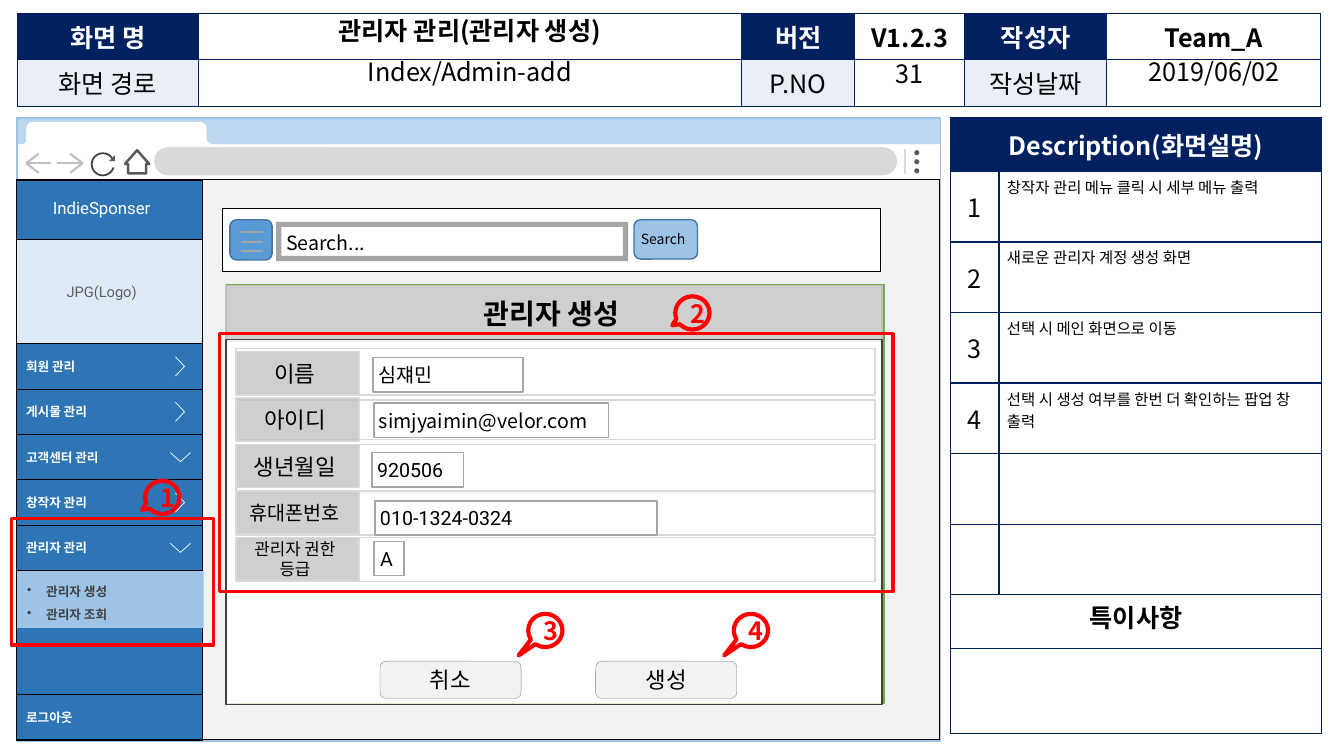
"""Build the admin creation screen plan on a grid of tenth-inch columns and rows."""
import dataclasses
import typing

import lxml.etree
import pptx
import pptx.dml.color
import pptx.enum.shapes
import pptx.enum.text
import pptx.oxml.ns
import pptx.util

UNIT = pptx.util.Inches(0.1)
KIND = pptx.enum.shapes.MSO_SHAPE
ALIGN = pptx.enum.text.PP_ALIGN
ANCHOR = pptx.enum.text.MSO_ANCHOR
NOTO, ROBOTO = "Noto Sans CJK KR", "Roboto"
HUES = {
    "white": "FFFFFF", "black": "000000", "navy": "002060", "ice": "EAEFF7", "pale": "F2F2F2",
    "mist": "D9D9D9", "ash": "BFBFBF", "mid": "A6A6A6", "steel": "A5A5A5", "gray": "808080",
    "slate": "595959", "dark": "404040", "logo": "5F5F5F", "sky": "BDD7EE", "light": "9DC3E6",
    "haze": "DEEBF7", "blue": "2E75B6", "key": "5B9BD5", "edge": "43739E", "green": "70AD47",
    "red": "FF0000",
}


@dataclasses.dataclass
class Face:
    size: float
    hue: str = "black"
    bold: bool = False
    font: str = NOTO
    align: typing.Any = ALIGN.CENTER
    anchor: typing.Any = ANCHOR.MIDDLE
    inset: tuple = (1, 0.5, 1, 0.5)
    para: dict = dataclasses.field(default_factory=dict)
    mark: str = ""


@dataclasses.dataclass
class Box:
    x: float
    y: float
    wide: float
    high: float
    fill: str = ""
    line: str = ""
    pen: float = 1
    kind: typing.Any = KIND.RECTANGLE
    adjust: tuple = ()
    alpha: int = 100
    turn: float = 0
    text: str = ""
    face: typing.Optional[Face] = None


class Line(typing.NamedTuple):
    x: float
    y: float
    end: float
    foot: float
    hue: str
    pen: float


def grid(count: float) -> int:
    return round(count * UNIT)


def tint(name: str) -> pptx.dml.color.RGBColor:
    return pptx.dml.color.RGBColor.from_string(HUES[name])


def paint(fill: typing.Any, name: str) -> None:
    if name:
        fill.solid()
        fill.fore_color.rgb = tint(name)
    else:
        fill.background()


def assign(item: typing.Any, values: dict) -> None:
    for name, value in values.items():
        setattr(item, name, value)


def sub(root: typing.Any, tag: str, **attrs: str) -> typing.Any:
    return lxml.etree.SubElement(root, pptx.oxml.ns.qn(tag), attrs)


def write(frame: typing.Any, text: str, face: Face) -> None:
    for index, words in enumerate(text.split("\n")):
        para = frame.add_paragraph() if index else frame.paragraphs[0]
        assign(para, {"alignment": face.align, **face.para})
        if face.mark:
            props = para._p.get_or_add_pPr()
            props.set("marL", str(grid(1.9)))
            props.set("indent", str(grid(-1.9)))
            sub(props, "a:buChar", char=face.mark)
        run = para.add_run()
        run.text = words
        assign(run.font, {"size": pptx.util.Pt(face.size), "bold": face.bold, "name": face.font})
        run.font.color.rgb = tint(face.hue)
        sub(run._r.get_or_add_rPr(), "a:ea", typeface=NOTO)


def fit(frame: typing.Any, face: Face) -> None:
    sides = ("margin_left", "margin_top", "margin_right", "margin_bottom")
    assign(frame, {"word_wrap": True, "auto_size": pptx.enum.text.MSO_AUTO_SIZE.NONE,
                   "vertical_anchor": face.anchor, **dict(zip(sides, map(grid, face.inset)))})


def draw(shapes: typing.Any, box: Box) -> None:
    shape = shapes.add_shape(box.kind, *map(grid, (box.x, box.y, box.wide, box.high)))
    shape.shadow.inherit = False
    shape.rotation = box.turn
    for index, value in enumerate(box.adjust):
        shape.adjustments[index] = value
    paint(shape.fill, box.fill)
    paint(shape.line.fill, box.line)
    if box.line:
        shape.line.width = pptx.util.Pt(box.pen)
    if box.alpha < 100:
        hue = shape._element.spPr.find(pptx.oxml.ns.qn("a:solidFill"))[0]
        sub(hue, "a:alpha", val=str(box.alpha * 1000))
    if box.face:
        fit(shape.text_frame, box.face)
        write(shape.text_frame, box.text, box.face)


def label(shapes: typing.Any, x: float, y: float, wide: float, high: float, text: str, face: Face) -> None:
    frame = shapes.add_textbox(*map(grid, (x, y, wide, high))).text_frame
    fit(frame, face)
    write(frame, text, face)


def stroke(shapes: typing.Any, line: Line) -> None:
    link = shapes.add_connector(pptx.enum.shapes.MSO_CONNECTOR.STRAIGHT, *map(grid, line[:4]))
    link.line.color.rgb = tint(line.hue)
    link.line.width = pptx.util.Pt(line.pen)
    sub(link._element.spPr, "a:effectLst")


def arrow(shapes: typing.Any, points: list) -> None:
    spots = [(grid(x), grid(y)) for x, y in points]
    path = shapes.build_freeform(*spots[0])
    path.add_line_segments(spots[1:], close=False)
    shape = path.convert_to_shape()
    shape.shadow.inherit = False
    shape.fill.background()
    shape.line.color.rgb = tint("white")
    shape.line.width = pptx.util.Pt(0.5)


def table(shapes: typing.Any, x: float, y: float, cols: list, rows: list) -> typing.Any:
    sheet = shapes.add_table(len(rows), len(cols), *map(grid, (x, y, sum(cols), sum(rows)))).table
    assign(sheet, {"first_row": False, "horz_banding": False})
    for col, wide in zip(sheet.columns, cols):
        col.width = grid(wide)
    for row, high in zip(sheet.rows, rows):
        row.height = grid(high)
    for cell in sheet.iter_cells():
        for side in ("a:lnL", "a:lnR", "a:lnT", "a:lnB"):
            edge = sub(cell._tc.get_or_add_tcPr(), side, w=str(pptx.util.Pt(1)))
            sub(sub(edge, "a:solidFill"), "a:srgbClr", val=HUES["navy"])
        cell.fill.background()
    return sheet


TOP = ANCHOR.TOP
HEAD = [["화면 명", "", "버전", "V1.2.3", "작성자", "Team_A"],
        ["화면 경로", "", "P.NO", "", "작성날짜", ""]]
NOTES = ["창작자 관리 메뉴 클릭 시 세부 메뉴 출력", "새로운 관리자 계정 생성 화면",
         "선택 시 메인 화면으로 이동", "선택 시 생성 여부를 한번 더 확인하는 팝업 창 출력"]
ROUND = KIND.ROUNDED_RECTANGLE
SIDE = Face(9, "white", True, ROBOTO, ALIGN.LEFT, inset=(1, 0.5, 2.5, 0.5))
FIELD = Face(14, font=ROBOTO, align=ALIGN.LEFT, inset=(0.5, 0.5, 1, 0.5))
NAME = dataclasses.replace(FIELD, size=16, align=ALIGN.CENTER)
LEAD = Face(18, anchor=TOP, para={"line_spacing": 0.9, "space_before": pptx.util.Pt(10)})
BROWSER = [
    Box(91.7, 17.9, 1.6, 55.5, "mist"), Box(1.7, 14.2, 91.6, 3.7, "white", "black", 0.5),
    Box(15.3, 14.6, 73.7, 2.8, "mist", kind=ROUND, adjust=(0.5,)),
    *(Box(90.7, 14.9 + 0.9 * step, 0.5, 0.5, "slate", kind=KIND.OVAL) for step in range(3)),
    Box(1.7, 11.7, 91.6, 2.6, "sky"), Box(9.1, 15.2, 2.2, 2.2, "", "dark", 1.25, KIND.OVAL),
    Box(10.9, 15.8, 0.8, 0.8, "white"),
    Box(10.8, 15.4, 0.6, 0.6, "slate", kind=KIND.ISOSCELES_TRIANGLE, adjust=(1,)),
    Box(12.4, 14.9, 2.4, 2.3, "white", "slate", 1.75, KIND.DOWN_ARROW, (0.75, 0.59), turn=180),
    Box(2.6, 12.1, 17.9, 2.3, "white", kind=ROUND, adjust=(0.28,)),
    Box(18.8, 13, 3.4, 1.5, "white", kind=ROUND), Box(20.5, 12.3, 12.7, 2, "sky", kind=ROUND, adjust=(0.28,)),
    Box(2.1, 13, 1.3, 1.5, "white", kind=ROUND), Box(1.7, 12.3, 0.9, 2, "sky", kind=ROUND, adjust=(0.46,)),
    Box(1.7, 11.7, 91.6, 61.8, "", "light")]
PANEL = [
    Box(1.6, 17.8, 91.6, 55.6, "pale", "black", 0.5),
    Box(1.6, 17.9, 18.5, 55.6, "blue", "black", 0.5, text="IndieSponser",
        face=Face(12, "white", font=ROBOTO, anchor=TOP, inset=(1, 1.7, 2.5, 0.5))),
    Box(1.6, 23.8, 18.5, 10.3, "haze", "black", 0.5, text="JPG(Logo)",
        face=Face(10.5, "logo", font=ROBOTO, inset=SIDE.inset)),
    Box(1.6, 68.9, 18.5, 4.5, "blue", "black", 0.5, text="로그아웃", face=SIDE),
    Box(1.7, 56.6, 18.5, 5.7, "light", text="관리자 생성\n관리자 조회",
        face=dataclasses.replace(SIDE, hue="dark", mark="•", para={"line_spacing": 1.5})),
    Box(22.5, 28.2, 65.2, 41.6, "white", "green"),
    Box(22.4, 28.3, 65.1, 5.6, "ash", "ash", alpha=75, text="관리자 생성",
        face=dataclasses.replace(NAME, size=20, bold=True)),
    Box(22.4, 33.7, 65.1, 36.2, "white", "dark", alpha=75)]
MENU = [("회원 관리", False), ("게시물 관리", False), ("고객센터 관리", True),
        ("창작자 관리", False), ("관리자 관리", True)]
FORM = [("이름", 16, 34.6, 4.6, 37, 35.5, 14.9, "심쟤민", FIELD),
        ("아이디", 16, 39.7, 3.9, 37.1, 40, 23.3, "simjyaimin@velor.com", dataclasses.replace(FIELD, font=NOTO)),
        ("생년월일", 16, 44.1, 4.8, 36.9, 44.9, 9.1, "920506", FIELD),
        ("휴대폰번호", 14, 48.7, 4.4, 37.2, 49.7, 28, "010-1324-0324", FIELD),
        ("관리자 권한 등급", 12, 53.3, 4.4, 37.1, 53.7, 3, "A", dataclasses.replace(FIELD, align=ALIGN.CENTER))]
TOOLS = [
    *(Box(x, 65.6, 14, 3.7, "pale", "gray", 0.25, ROUND, text=text,
          face=Face(16, font=ROBOTO, inset=(1, 0, 1, 0.1))) for x, text in ((37.7, "취소"), (59.1, "생성"))),
    Box(22.1, 20.7, 65.2, 6.2, "white", "black", 0.5), Box(22.8, 21.8, 4.2, 4, "key", "edge", kind=ROUND),
    Box(27.4, 22, 34.9, 3.9, "steel", kind=KIND.FRAME, adjust=(0.13,)),
    Box(62.9, 21.8, 6.3, 3.9, "light", "edge", kind=ROUND)]
LINES = [
    Line(89.8, 14.8, 89.8, 17.3, "mist", 1),
    *(Line(tip, 16.2, tip + way * reach, 16.2 + rise, "ash", 1.5)
      for tip, way in ((2.6, 1), (8.2, -1)) for reach, rise in ((2.5, 0), (1.25, -0.95), (1.25, 0.95))),
    *(Line(23.9, y, 26.1, y, "steel", 1.5) for y in (23, 24, 24.9))]
NEAR, FAR = (-0.59, 0.37), (-0.78, 0.75)
MARKS = [("2", 67, 29.4, NEAR), ("3", 52.4, 60.9, FAR), ("4", 72.8, 60.9, FAR), ("1", 14.4, 47.7, NEAR)]


def main() -> None:
    deck = pptx.Presentation()
    assign(deck, {"slide_width": grid(133.33), "slide_height": grid(75)})
    shapes = deck.slides.add_slide(deck.slide_layouts[5]).shapes
    for box in BROWSER:
        draw(shapes, box)
    sheet = table(shapes, 1.7, 1.3, [18, 53.9, 11.2, 10.9, 14.1, 21.2], [4.6, 4.6])
    for row, words in enumerate(HEAD):
        for col, text in enumerate(words):
            cell = sheet.cell(row, col)
            paint(cell.fill, "white" if col % 2 else ("navy", "ice")[row])
            if text:
                write(cell.text_frame, text, Face(18, "black" if row or col % 2 else "white", not row))
    for box in PANEL:
        draw(shapes, box)
    for index, (text, opened) in enumerate(MENU):
        y = 34.1 + 4.5 * index
        draw(shapes, Box(1.6, y, 18.5, 4.5, "blue", "black", 0.5, text=text, face=SIDE))
        down, right = [(16.9, y + 1.8), (17.9, y + 2.7), (18.9, y + 1.8)], [
            (17.4, y + 3.2), (18.3, y + 2.25), (17.4, y + 1.3)]
        arrow(shapes, down if opened else right)
    for index, (text, size, y, high, left, top, wide, value, face) in enumerate(FORM):
        draw(shapes, Box(23.4, y, 63.4, high, "white", "mist", alpha=75))
        draw(shapes, Box(23.4, 34.9 + 4.6 * index, 12.2, 4.3, "ash", "mist", alpha=75, text=text,
                         face=dataclasses.replace(NAME, size=size)))
        draw(shapes, Box(left, top, wide, 3.4, "white", "mid", alpha=75, text=value, face=face))
    for box in TOOLS:
        draw(shapes, box)
    for line in LINES:
        stroke(shapes, line)
    label(shapes, 27.4, 22.4, 11.1, 3.4, "Search...", Face(14, align=ALIGN.LEFT, anchor=TOP))
    label(shapes, 62.6, 22.4, 7.6, 2.7, "Search", Face(10, align=ALIGN.LEFT, anchor=TOP))
    sheet = table(shapes, 94.3, 11.7, [4.8, 32], [5.3, *[7] * 6, 5.3, 8.5])
    for row in (0, 7, 8):
        sheet.cell(row, 0).merge(sheet.cell(row, 1))
    paint(sheet.cell(0, 0).fill, "navy")
    cells = [(0, 0, "Description(화면설명)", Face(18, "white", True)),
             (7, 0, "특이사항", Face(18, bold=True, anchor=TOP))]
    for row, text in enumerate(NOTES, 1):
        cells += [(row, 0, str(row), Face(18)), (row, 1, text, Face(11, align=ALIGN.LEFT, anchor=TOP))]
    for row, col, text, face in cells:
        cell = sheet.cell(row, col)
        assign(cell, {"vertical_anchor": face.anchor, "margin_left": grid(0.8), "margin_right": grid(0.8),
                      "margin_top": grid(0.4), "margin_bottom": grid(0.4)})
        write(cell.text_frame, text, face)
    for frame in (Box(21.8, 33.1, 66.8, 25.6, "", "red", 2.25), Box(1.1, 51.4, 20.1, 12.6, "", "red", 2.25)):
        draw(shapes, frame)
    for text, x, y, tail in MARKS:
        draw(shapes, Box(x, y, 3.4, 3.3, "", "red", 3, KIND.OVAL_CALLOUT, tail, text=text,
                         face=Face(18, "red", True)))
    title = shapes.title
    assign(title, dict(zip(("left", "top", "width", "height"), map(grid, (19.7, 1.4, 53.8, 3.8)))))
    fit(title.text_frame, LEAD)
    write(title.text_frame, "관리자 관리(관리자 생성)", dataclasses.replace(LEAD, bold=True))
    title._element.getparent().append(title._element)
    label(shapes, 19.7, 5.4, 53.8, 3.8, "Index/Admin-add", LEAD)
    label(shapes, 109.9, 5.4, 21.1, 3.8, "2019/06/02", LEAD)
    label(shapes, 84.8, 5.4, 10.8, 3.8, "31", Face(18))
    deck.save("out.pptx")


if __name__ == "__main__":
    main()
